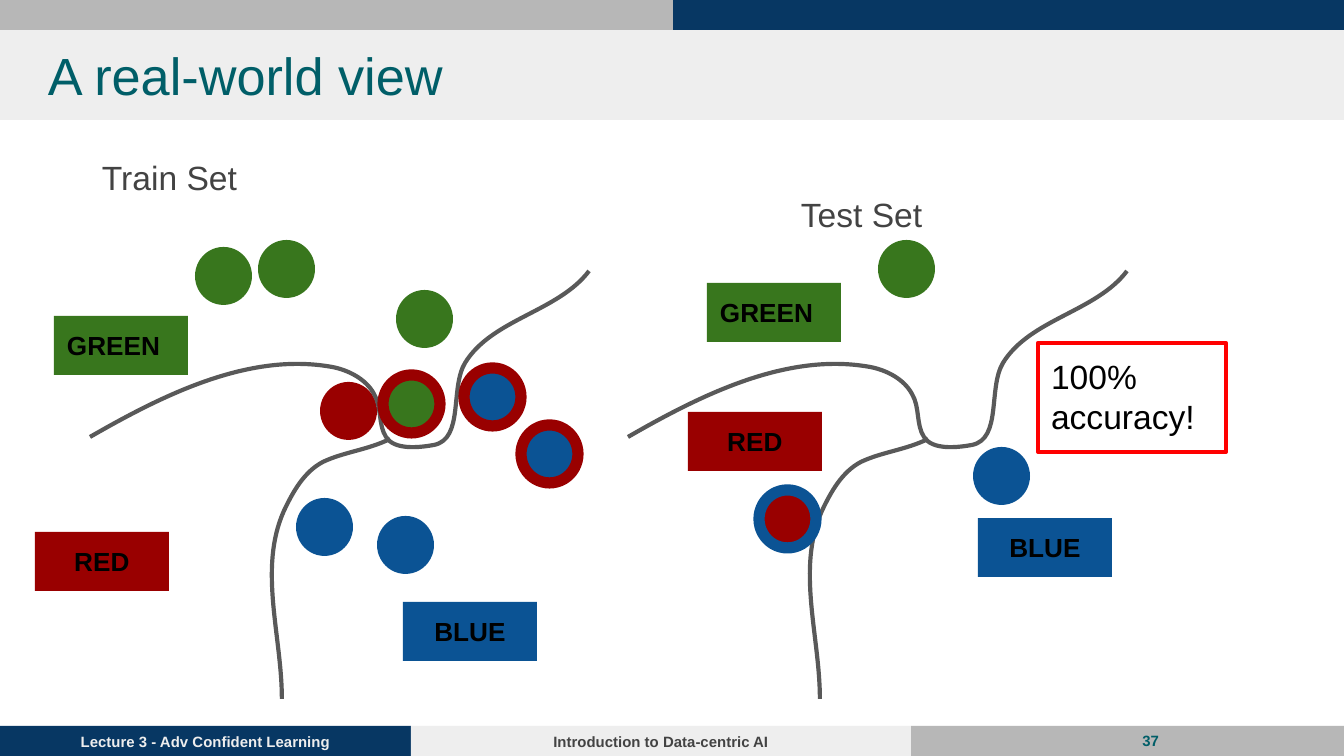
from lxml import etree
from pptx import Presentation
from pptx.dml.color import RGBColor
from pptx.enum.shapes import MSO_SHAPE
from pptx.enum.text import MSO_ANCHOR, PP_ALIGN
from pptx.oxml.ns import qn
from pptx.util import Pt

PX = 914400 / 134.4
RECT, OVAL = MSO_SHAPE.RECTANGLE, MSO_SHAPE.OVAL
TOP, MIDDLE = MSO_ANCHOR.TOP, MSO_ANCHOR.MIDDLE
LEFT, CENTER, RIGHT = PP_ALIGN.LEFT, PP_ALIGN.CENTER, PP_ALIGN.RIGHT

NAVY = RGBColor(0x07, 0x37, 0x63)
SILVER = RGBColor(0xB7, 0xB7, 0xB7)
PALE = RGBColor(0xEE, 0xEE, 0xEE)
TEAL = RGBColor(0x00, 0x5E, 0x68)
CHARCOAL = RGBColor(0x43, 0x43, 0x43)
CURVE_GRAY = RGBColor(0x59, 0x59, 0x59)
BLACK = RGBColor(0x00, 0x00, 0x00)
GREEN = RGBColor(0x38, 0x76, 0x1D)
RED = RGBColor(0x99, 0x00, 0x00)
BLUE = RGBColor(0x0B, 0x53, 0x94)
BRIGHT_RED = RGBColor(0xFF, 0x00, 0x00)

INSET = 13
DOT_SIZE = (57, 58)
LABEL_SIZE = (134, 59)
TEST_SHIFT = 538

prs = Presentation()
prs.slide_width, prs.slide_height = round(1344 * PX), round(756 * PX)
slide = prs.slides.add_slide(prs.slide_layouts[6])
shapes = slide.shapes


def add_block(kind, box, fill=None, line=None, line_pt=0):
    """Add a preset shape, or a text box when kind is None; box is in px."""
    emu = [round(v * PX) for v in box]
    if kind is None:
        return shapes.add_textbox(*emu)
    block = shapes.add_shape(kind, *emu)
    block.shadow.inherit = False
    if fill is None:
        block.fill.background()
    else:
        block.fill.solid()
        block.fill.fore_color.rgb = fill
    if line is None:
        block.line.fill.background()
    else:
        block.line.color.rgb = line
        block.line.width = Pt(line_pt)
    return block


def write(block, text, size, color, bold=False, align=LEFT, anchor=TOP, indent=INSET):
    frame = block.text_frame
    margins = {"margin_left": indent, "margin_top": INSET,
               "margin_right": INSET, "margin_bottom": INSET}
    for side, px in margins.items():
        setattr(frame, side, round(px * PX))
    frame.word_wrap = True
    frame.vertical_anchor = anchor
    paragraph = frame.paragraphs[0]
    paragraph.alignment = align
    run = paragraph.add_run()
    run.text = text
    for name, value in {"name": "Arial", "size": Pt(size), "bold": bold}.items():
        setattr(run.font, name, value)
    run.font.color.rgb = color
    return paragraph


# Header and footer bands
for box, fill in [((0, 30, 1344, 90), PALE), ((911, 726, 433, 30), SILVER),
                  ((0, 0, 673, 30), SILVER), ((673, 0, 671, 30), NAVY)]:
    add_block(RECT, box, fill)
for box, fill, text, color in [
        ((0, 726, 411, 30), NAVY, "Lecture 3 - Adv Confident Learning", PALE),
        ((411, 726, 500, 30), PALE, "Introduction to Data-centric AI", CHARCOAL)]:
    write(add_block(RECT, box, fill), text, 8, color, True, CENTER, MIDDLE)

write(add_block(None, (35, 30, 1253, 90)), "A real-world view", 28, TEAL)
write(add_block(None, (1070, 712, 102, 58)), "37", 8, TEAL, True, RIGHT, MIDDLE)

for box, heading in [((24, 138, 1253, 444), "Train Set"),
                     ((723, 175, 380, 66), "Test Set")]:
    paragraph = write(add_block(None, box), heading, 18, CHARCOAL, indent=78)
    paragraph.line_spacing = 1.15
    paragraph.space_after = Pt(16)

# Correctly labelled points
for x, y, fill in [(377, 516, BLUE), (296, 498, BLUE), (320, 382, RED),
                   (195, 247, GREEN), (258, 240, GREEN), (396, 290, GREEN),
                   (973, 447, BLUE), (878, 240, GREEN)]:
    add_block(OVAL, (x, y, *DOT_SIZE), fill)

# Decision boundaries: bounds and Bezier control points, shared by both sets
upper_boundary = (90, 271, 589, 447), [
    (90, 437), (163, 395), (249, 352), (332, 367), (348, 370), (366, 379),
    (374, 394), (382, 407), (378, 425), (386, 437), (394, 450), (418, 448),
    (434, 445), (464, 439), (450, 388), (465, 363), (492, 319), (558, 312),
    (589, 271)]
lower_boundary = (272, 439, 390, 699), [
    (390, 439), (368, 450), (344, 452), (323, 462), (304, 472), (293, 492),
    (284, 511), (258, 569), (282, 636), (282, 699)]
for shift in (0, TEST_SHIFT):
    boundary_pair = shapes.add_group_shape()
    for (left, top, right, bottom), controls in (upper_boundary, lower_boundary):
        builder = boundary_pair.shapes.build_freeform(left + shift, top, scale=PX)
        builder.add_line_segments([(right + shift, bottom)], close=False)
        boundary = builder.convert_to_shape()
        boundary.shadow.inherit = False
        boundary.fill.background()
        boundary.line.color.rgb = CURVE_GRAY
        boundary.line.width = Pt(2.25)

        # Replace the diagonal of the bounds by the curve
        outline = boundary._element.xpath(".//a:path")[0]
        for diagonal_part in list(outline):
            outline.remove(diagonal_part)
        commands = [("a:moveTo", controls[:1])]
        commands += [("a:cubicBezTo", controls[i:i + 3])
                     for i in range(1, len(controls), 3)]
        for tag, points in commands:
            command = etree.SubElement(outline, qn(tag))
            for x, y in points:
                etree.SubElement(command, qn("a:pt"), x=str(x - left), y=str(y - top))

# Region labels
for x, y, text, fill, align in [
        (35, 532, "RED", RED, CENTER), (403, 602, "BLUE", BLUE, CENTER),
        (54, 316, "GREEN", GREEN, LEFT), (688, 412, "RED", RED, CENTER),
        (978, 518, "BLUE", BLUE, CENTER), (707, 283, "GREEN", GREEN, LEFT)]:
    write(add_block(RECT, (x, y, *LABEL_SIZE), fill), text, 14, BLACK, True, align)

# Mislabelled points: the ring shows the other class
for x, y, fill, ring in [(383, 375, GREEN, RED), (464, 368, BLUE, RED),
                         (521, 425, BLUE, RED), (759, 490, RED, BLUE)]:
    add_block(OVAL, (x, y, *DOT_SIZE), fill, ring, 6)

accuracy = add_block(RECT, (1038, 343, 188, 109), None, BRIGHT_RED, 2.25)
write(accuracy, "100% accuracy!", 18, BLACK)

prs.save("out.pptx")
